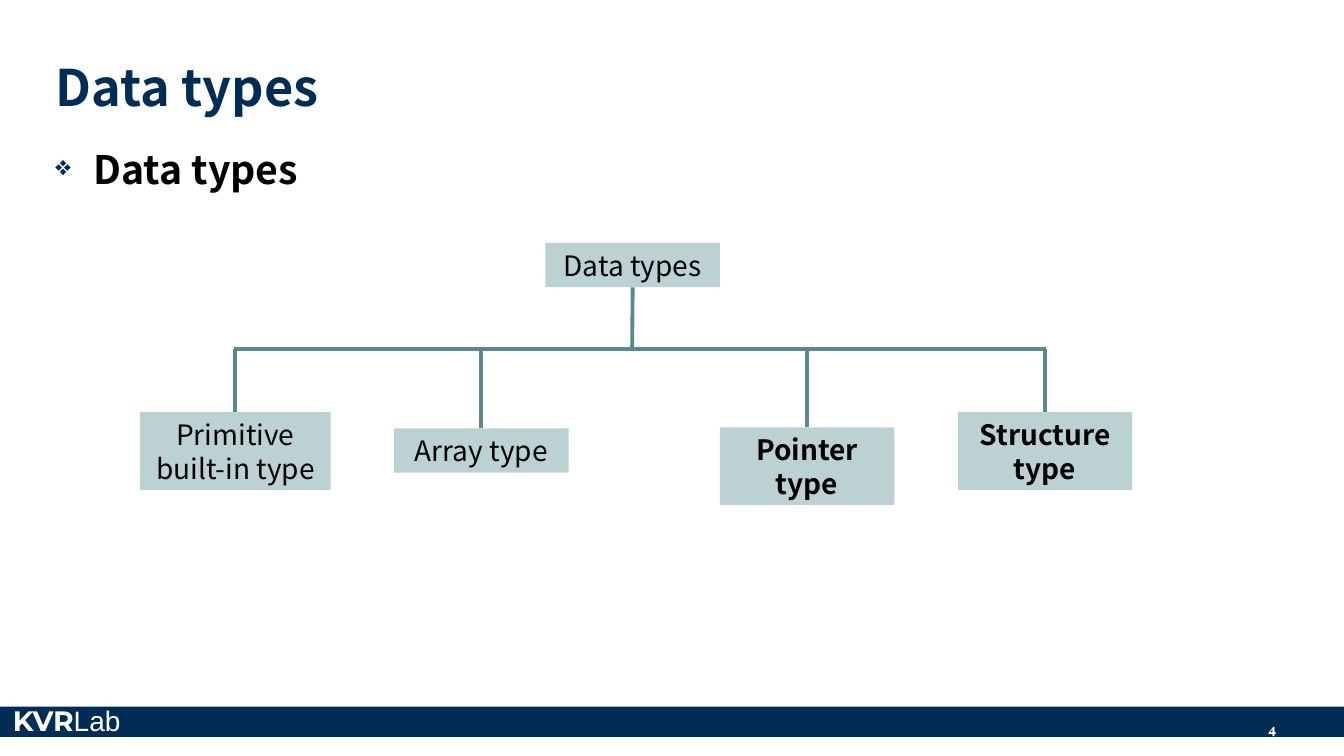
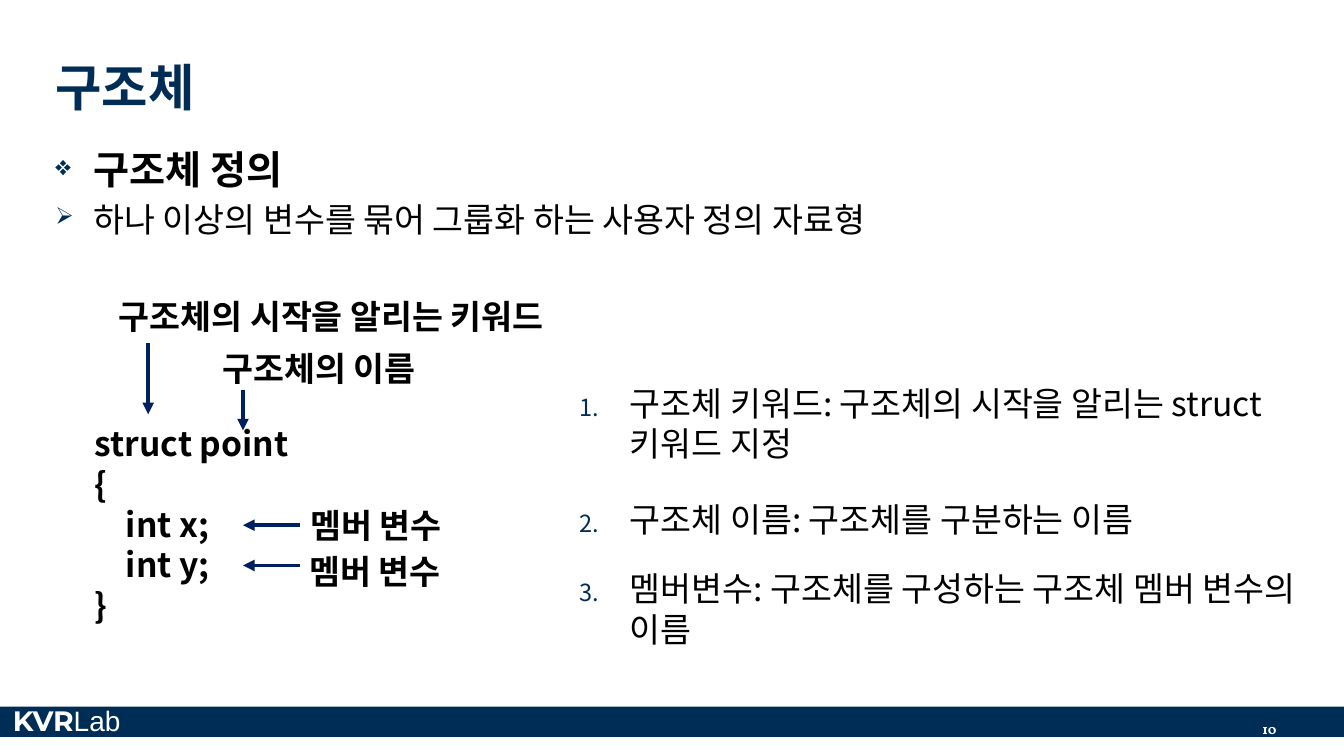
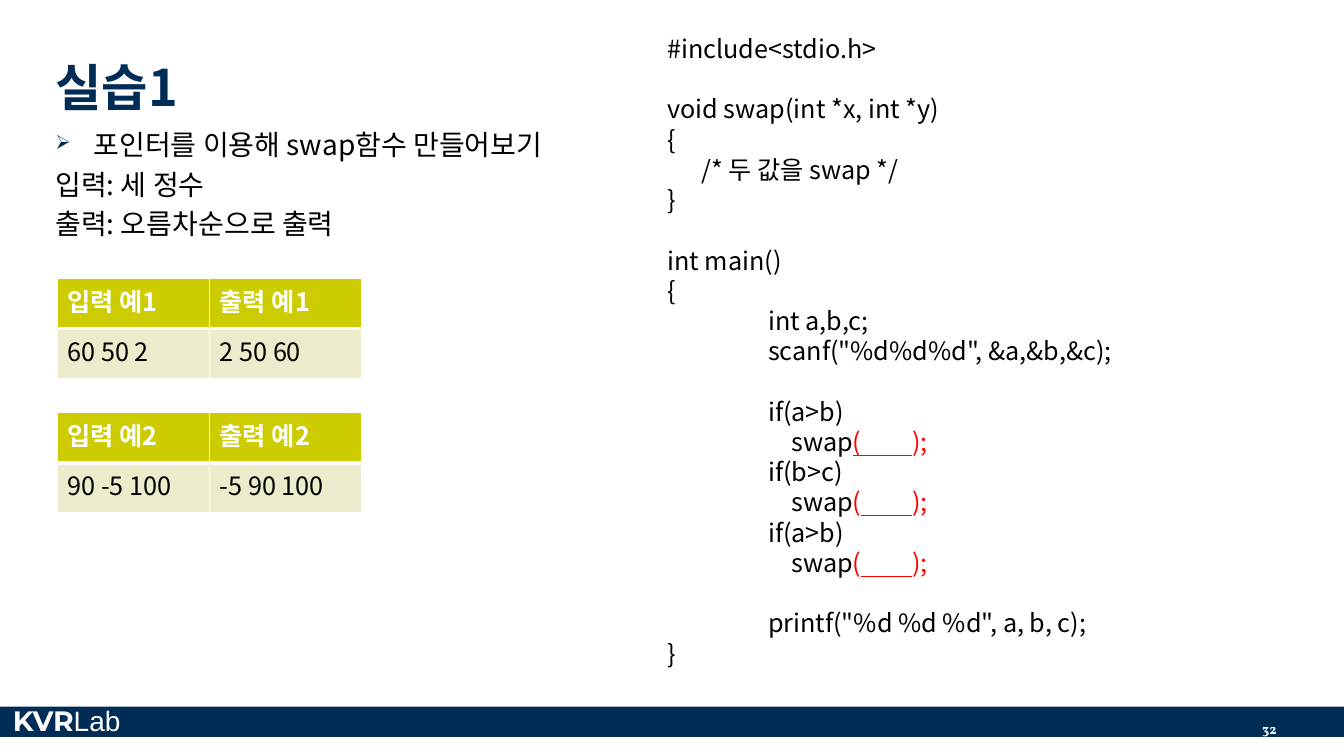
from dataclasses import dataclass

from lxml.etree import SubElement
from pptx import Presentation
from pptx.dml.color import RGBColor
from pptx.enum.shapes import MSO_CONNECTOR, MSO_SHAPE
from pptx.enum.text import MSO_ANCHOR, MSO_AUTO_SIZE, PP_ALIGN
from pptx.oxml.ns import qn
from pptx.util import Inches, Pt


@dataclass(frozen=True)
class Theme:
    navy: str = "002D56"
    arrow: str = "002060"
    ink: str = "000000"
    white: str = "FFFFFF"
    red: str = "FF0000"
    node: str = "BCD2D2"
    branch: str = "5C8A8A"
    table_head: str = "CCCC00"
    table_body: str = "ECECCC"
    font: str = "Noto Sans CJK KR"
    brand_font: str = "Montserrat"
    brand_light_font: str = "Arial"
    number_font: str = "Vollkorn"
    title_size: int = 36
    heading_size: int = 28
    text_size: int = 24
    small_size: int = 20
    code_size: int = 18
    number_size: int = 10
    line_width: float = 2.75
    line_height: float = 1.2


THEME = Theme()


def color(value):
    return RGBColor.from_string(value)


@dataclass(frozen=True)
class Line:
    """One paragraph; spans are (text, colour, underline) and replace text."""
    text: str = ""
    size: float = THEME.text_size
    bold: bool = False
    before: float = 0
    indent: float = 0
    hanging: float = 0
    bullet: str = ""
    spans: tuple = ()


class SlideBuilder:
    def __init__(self, theme):
        self.theme = theme
        self.deck = Presentation()
        self.deck.slide_width, self.deck.slide_height = Inches(13.33), Inches(7.5)
        self.page = None

    def start(self, title, number):
        """Open a page with its title, footer band and page number."""
        theme = self.theme
        self.page = self.deck.slides.add_slide(self.deck.slide_layouts[5])
        self.rectangle(0, 7.01, 13.33, 0.3, theme.navy)
        brand = self.text_box(0.03, 6.93, 1.52, 0.44).text_frame.paragraphs[0]
        for text, font, bold in (("KVR", theme.brand_font, True), ("Lab", theme.brand_light_font, False)):
            span = brand.add_run()
            span.text = text
            self.style(span, theme.small_size, bold, theme.white, font)
        page_number = self.text_box(12.06, 7.1, 0.7, 0.28).text_frame.paragraphs[0]
        page_number.text = str(number)
        page_number.alignment = PP_ALIGN.RIGHT
        self.style(page_number.runs[0], theme.number_size, True, theme.white, theme.number_font)

        box = self.page.shapes.title
        box.left, box.top, box.width, box.height = map(Inches, (0.45, 0.13, 11.12, 1.08))
        box.text_frame.auto_size = MSO_AUTO_SIZE.NONE
        box.text_frame.vertical_anchor = MSO_ANCHOR.BOTTOM
        self.fill_text(box.text_frame, [Line(title, theme.title_size, True)], theme.navy)

    def style(self, span, size, bold, ink, font=None, underline=None):
        span.font.size, span.font.bold, span.font.underline = Pt(size), bold, underline
        span.font.color.rgb = color(ink)
        span.font.name = font or self.theme.font
        SubElement(span.font._element, qn("a:ea")).set("typeface", span.font.name)

    def fill_text(self, frame, lines, ink=None, alignment=PP_ALIGN.LEFT):
        ink = ink or self.theme.ink
        for index, line in enumerate(lines):
            para = frame.add_paragraph() if index else frame.paragraphs[0]
            para.alignment = alignment
            para.line_spacing = Pt(line.size * self.theme.line_height)
            para.space_before = Pt(line.before)
            for text, span_ink, underline in line.spans or ((line.text, ink, None),):
                span = para.add_run()
                span.text = text
                self.style(span, line.size, line.bold, span_ink, underline=underline)
            self.indent(para, line)

    def indent(self, para, line):
        properties = para._p.get_or_add_pPr()
        properties.set("marL", str(Inches(line.indent)))
        properties.set("indent", str(-Inches(line.hanging)))
        if not line.bullet:
            SubElement(properties, qn("a:buNone"))
            return
        bullet_color = SubElement(properties, qn("a:buClr"))
        SubElement(bullet_color, qn("a:srgbClr")).set("val", self.theme.navy)
        SubElement(properties, qn("a:buSzPct")).set("val", "70000")
        if line.bullet == "1.":
            SubElement(properties, qn("a:buAutoNum")).set("type", "arabicPeriod")
        else:
            SubElement(properties, qn("a:buChar")).set("char", line.bullet)

    def text_box(self, left, top, width, height, lines=()):
        box = self.page.shapes.add_textbox(*map(Inches, (left, top, width, height)))
        box.text_frame.word_wrap = True
        self.fill_text(box.text_frame, lines)
        return box

    def rectangle(self, left, top, width, height, fill):
        box = self.page.shapes.add_shape(MSO_SHAPE.RECTANGLE, *map(Inches, (left, top, width, height)))
        box.shadow.inherit = False
        box.fill.solid()
        box.fill.fore_color.rgb = color(fill)
        box.line.fill.background()
        return box

    def node(self, text, left, top, width, height, bold=False):
        box = self.rectangle(left, top, width, height, self.theme.node)
        self.fill_text(box.text_frame, [Line(text, self.theme.small_size, bold)], alignment=PP_ALIGN.CENTER)
        return box

    def line(self, start, end, ink, arrow=False):
        connector = self.page.shapes.add_connector(MSO_CONNECTOR.STRAIGHT, *map(Inches, start + end))
        connector.line.width = Pt(self.theme.line_width)
        connector.line.color.rgb = color(ink)
        if arrow:
            SubElement(connector.line._get_or_add_ln(), qn("a:tailEnd")).set("type", "triangle")
        SubElement(connector._element.spPr, qn("a:effectLst"))
        return connector

    def table(self, left, top, rows, column_width=1.51, row_height=0.5):
        theme = self.theme
        size = (column_width * len(rows[0]), row_height * len(rows))
        table = self.page.shapes.add_table(
            len(rows), len(rows[0]), *map(Inches, (left, top) + size)).table
        for row_index, row in enumerate(rows):
            head = row_index == 0
            for column_index, text in enumerate(row):
                cell = table.cell(row_index, column_index)
                cell.vertical_anchor = MSO_ANCHOR.MIDDLE
                self.fill_text(cell.text_frame, [Line(text, theme.code_size, head)],
                               theme.white if head else theme.ink)
                widths = {"L": 1, "R": 1, "T": 1 if head else 3, "B": 3 if head else 1}
                self.cell_borders(cell, widths)
                cell.fill.solid()
                cell.fill.fore_color.rgb = color(theme.table_head if head else theme.table_body)

    def cell_borders(self, cell, widths):
        properties = cell._tc.get_or_add_tcPr()
        for side, width in widths.items():
            border = SubElement(properties, qn(f"a:ln{side}"), w=str(Pt(width)))
            fill = SubElement(border, qn("a:solidFill"))
            SubElement(fill, qn("a:srgbClr")).set("val", self.theme.white)


def bullet_line(text, bullet, size=THEME.text_size, bold=False):
    return Line(text, size, bold, before=size * 0.2, indent=0.38, hanging=0.38, bullet=bullet)


def data_types_page(builder):
    theme = builder.theme
    builder.start("Data types", 4)
    builder.text_box(0.45, 1.39, 12.37, 5.28, [bullet_line("Data types", "❖", theme.heading_size, True)])
    bus = 3.46
    root = builder.node("Data types", 5.41, 2.41, 1.73, 0.44)
    builder.line((6.27, 2.85), (6.27, bus), theme.branch).begin_connect(root, 2)
    for text, left, top, width, height, bold in (
        ("Primitive built-in type", 1.39, 4.09, 1.89, 0.77, False),
        ("Array type", 3.91, 4.25, 1.73, 0.44, False),
        ("Pointer type", 7.14, 4.24, 1.73, 0.77, True),
        ("Structure type", 9.5, 4.09, 1.73, 0.77, True),
    ):
        child = builder.node(text, left, top, width, height, bold)
        center = left + width / 2
        builder.line((center, top), (center, bus), theme.branch).begin_connect(child, 0)
    builder.line((2.32, bus), (10.37, bus), theme.branch)


def structure_page(builder):
    theme = builder.theme
    builder.start("구조체", 10)
    builder.text_box(0.45, 1.39, 12.37, 5.28, [
        bullet_line("구조체 정의", "❖", theme.heading_size, True),
        bullet_line("하나 이상의 변수를 묶어 그룹화 하는 사용자 정의 자료형", "➢"),
    ])
    builder.text_box(0.84, 4.15, 3.45, 2.12, [
        Line(text, bold=True, indent=indent) for text, indent in (
            ("struct point", 0), ("{", 0), ("int x;", 0.31), ("int y;", 0.31), ("}", 0))
    ])
    labels = [
        builder.text_box(left, top, width, 0.5, [Line(text, bold=True)])
        for text, left, top, width in (
            ("구조체의 시작을 알리는 키워드", 1.08, 2.89, 6.22),
            ("구조체의 이름", 2.11, 3.4, 2.91),
            ("멤버 변수", 2.97, 5.42, 2.91),
            ("멤버 변수", 2.98, 4.96, 2.91),
        )
    ]
    arrows = [
        builder.line(start, end, theme.arrow, arrow=True) for start, end in (
            ((1.47, 3.4), (1.47, 4.11)),
            ((2.41, 3.87), (2.41, 4.27)),
            ((2.98, 5.61), (2.41, 5.61)),
            ((2.98, 5.21), (2.41, 5.21)),
        )
    ]
    arrows[-1].begin_connect(labels[-1], 1)
    builder.text_box(5.65, 3.75, 7.33, 2.91, [
        Line(text, before=before, indent=0.5, hanging=0.5, bullet="1.") for text, before in (
            ("구조체 키워드: 구조체의 시작을 알리는 struct 키워드 지정", 0),
            ("구조체 이름: 구조체를 구분하는 이름", 25),
            ("멤버변수: 구조체를 구성하는 구조체 멤버 변수의 이름", 21),
        )
    ])


def exercise_page(builder):
    theme = builder.theme
    size = theme.code_size
    builder.start("실습1", 32)
    builder.text_box(0.45, 1.22, 5.9, 1.4, [
        bullet_line("포인터를 이용해 swap함수 만들어보기", "➢", theme.small_size),
        *(Line(text, theme.small_size, before=4) for text in ("입력: 세 정수", "출력: 오름차순으로 출력")),
    ])
    examples = (("60 50 2", "2 50 60"), ("90 -5 100", "-5 90 100"))
    for index, values in enumerate(examples):
        heads = (f"입력 예{index + 1}", f"출력 예{index + 1}")
        builder.table(0.57, 2.76 + 1.33 * index, (heads, values))

    blank_line = size * theme.line_height

    def code(text, indent=0, before=0):
        return Line(text, size, indent=indent, before=before)

    def swap_call(underline_bracket=False):
        """A call whose arguments are an underlined blank to fill in."""
        return Line(size=size, indent=1.23, spans=(
            ("swap", theme.ink, None), ("(", theme.red, underline_bracket),
            (" " * 9, theme.red, True), (");", theme.red, None)))

    builder.text_box(6.52, 0.28, 5.39, 6.46, [
        code("#include<stdio.h>"),
        code("void swap(int *x, int *y)", before=blank_line),
        code("{"),
        code("/* 두 값을 swap */", 0.34),
        code("}"),
        code("int main()", before=blank_line),
        code("{"),
        code("int a,b,c;", 1),
        code('scanf("%d%d%d", &a,&b,&c);', 1),
        code("if(a>b)", 1, blank_line),
        swap_call(underline_bracket=True),
        code("if(b>c)", 1),
        swap_call(),
        code("if(a>b)", 1),
        swap_call(),
        code('printf("%d %d %d", a, b, c);', 1, blank_line),
        code("}"),
    ])


def main():
    builder = SlideBuilder(THEME)
    for build_page in (data_types_page, structure_page, exercise_page):
        build_page(builder)
    builder.deck.save("out.pptx")


if __name__ == "__main__":
    main()
